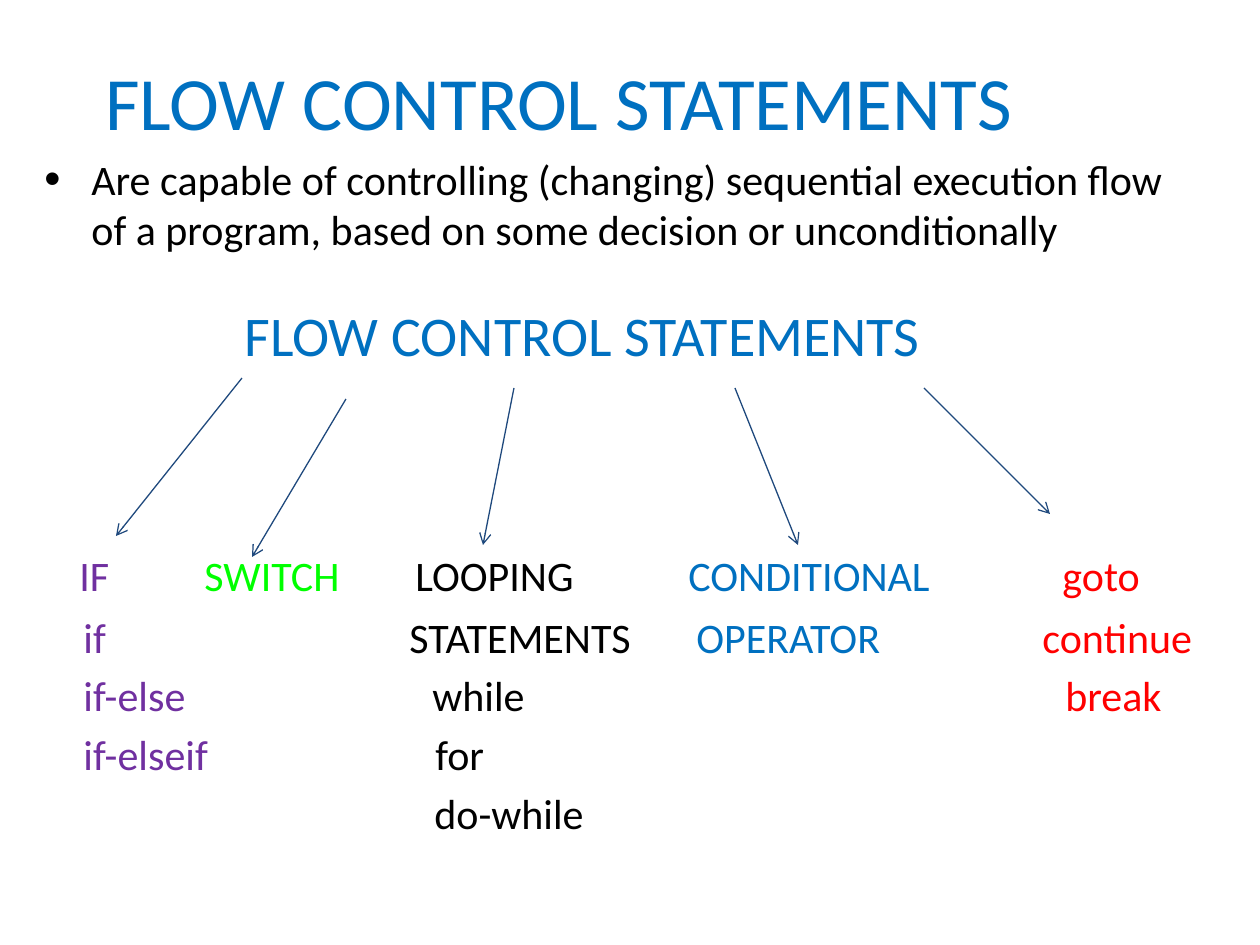
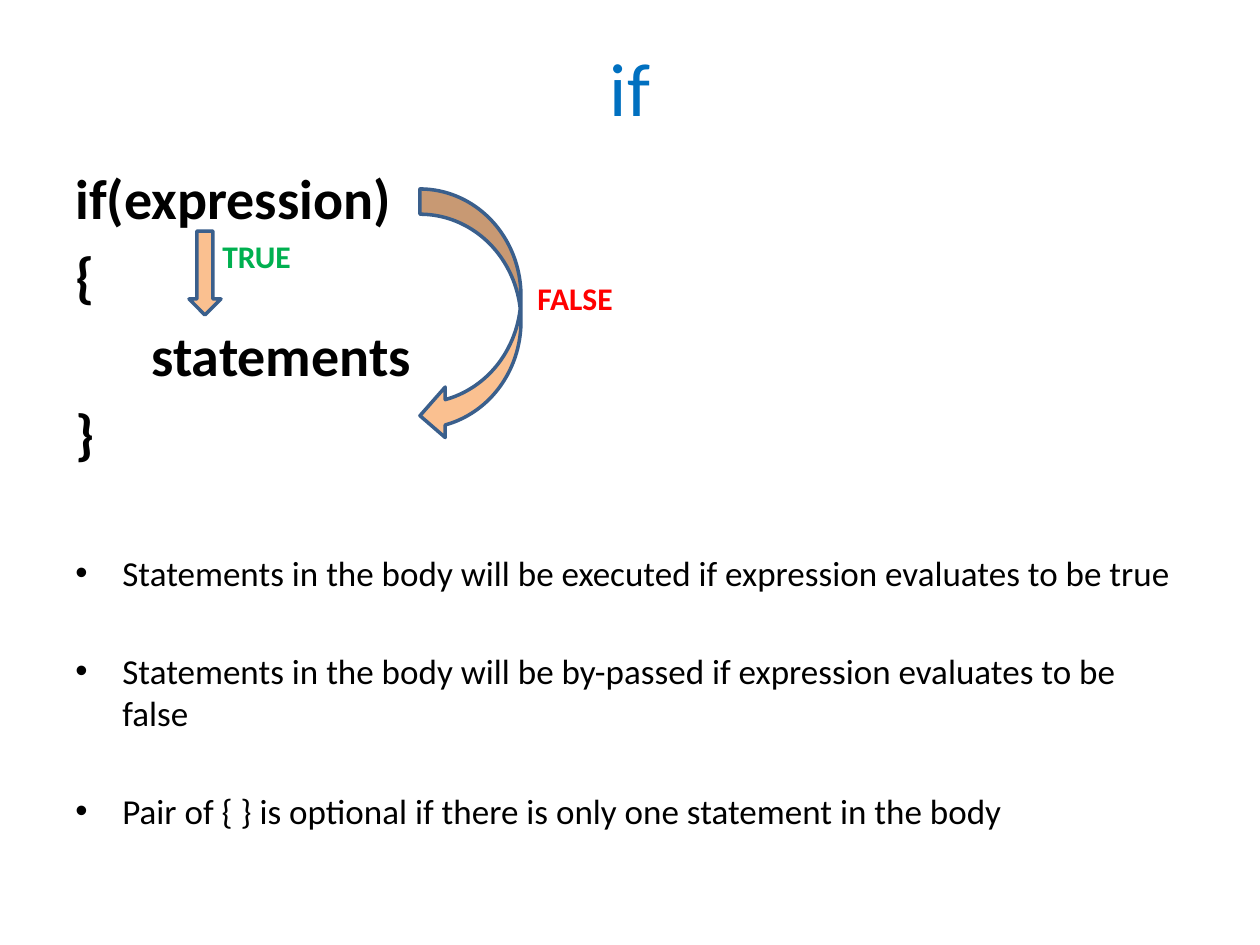
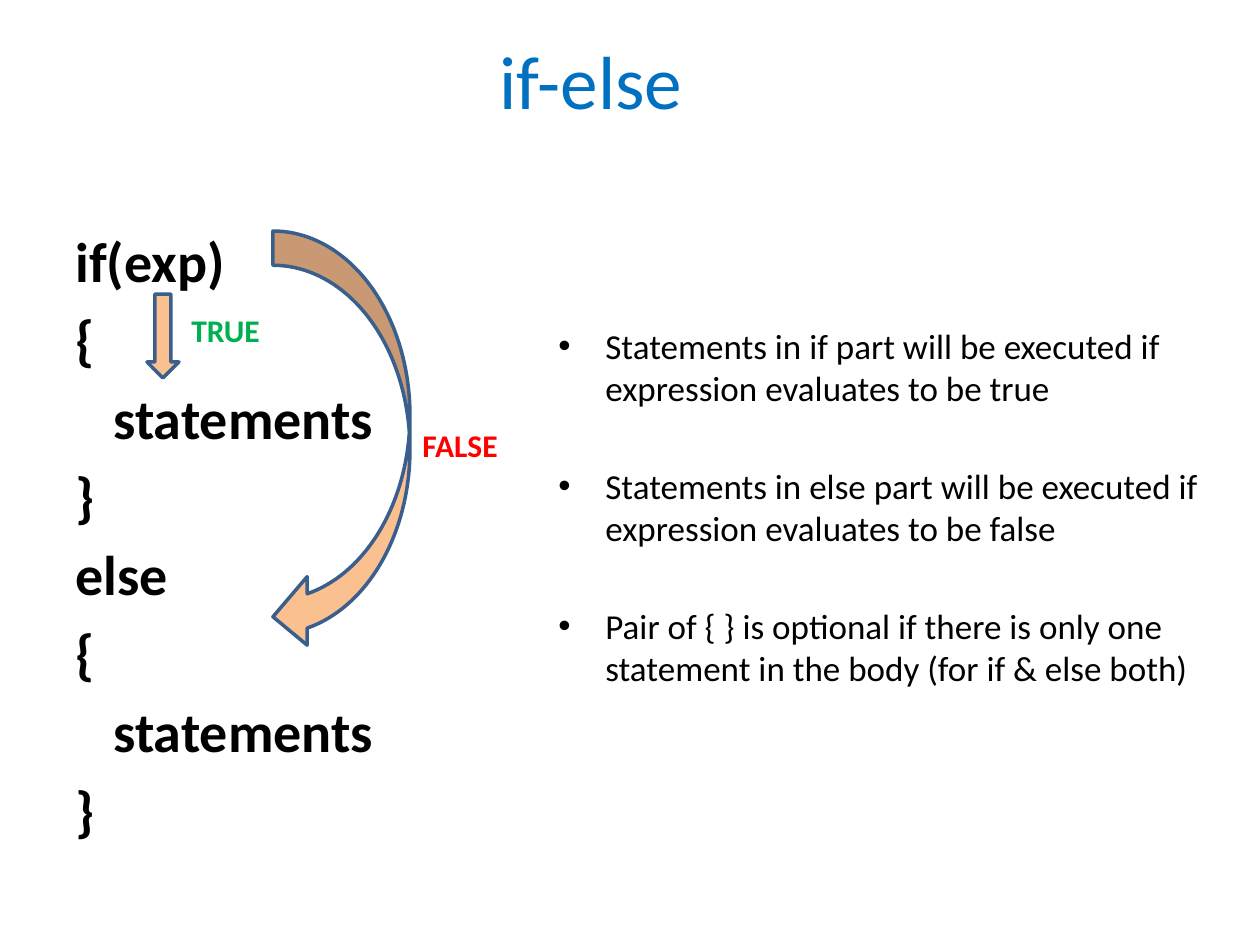
from pptx import Presentation
from pptx.dml.color import RGBColor
from pptx.enum.shapes import MSO_CONNECTOR, MSO_SHAPE
from pptx.enum.text import MSO_ANCHOR, PP_ALIGN
from pptx.oxml.ns import qn
from pptx.util import Emu, Pt
from lxml.etree import SubElement

FONT = "Calibri"
EMU_PER_PX = 914400 / 126
COLOURS = {
    "heading": "0070C0",
    "text": "000000",
    "if": "7030A0",
    "switch": "00FF00",
    "jump": "FF0000",
    "true": "00B050",
    "false": "FF0000",
    "arrow_fill": "FAC090",
    "arrow_edge": "3A5F8C",
    "connector": "1F497D",
}
TITLE_SIZE = 43
CODE_SIZE = 32
NOTE_SIZE = 20
LABEL_SIZE = 18
TREE_SIZE = 24
BULLET_INDENT = 47
CODE_GAP = 6.4
NOTE_GAP = 32

TREE_ROWS = [
    (104, [("IF", "if", 25), ("SWITCH", "switch", 150), ("LOOPING", "text", 361),
           ("CONDITIONAL", "heading", 634), ("goto", "jump", 1008)]),
    (6.4, [("if", "if", 29), ("STATEMENTS", "text", 355),
           ("OPERATOR", "heading", 642), ("continue", "jump", 988)]),
    (4.8, [("if-else", "if", 29), ("while", "text", 378), ("break", "jump", 1011)]),
    (4.8, [("if-elseif", "if", 29), ("for", "text", 381)]),
    (4.8, [("do-while", "text", 380)]),
]
BRANCHES = [
    ((924, 388), (1050, 514)),
    ((735, 388), (798, 545)),
    ((514, 388), (483, 545)),
    ((346, 399), (252, 557)),
    ((242, 378), (116, 536)),
]


def px(length):
    return Emu(round(length * EMU_PER_PX))


def colour(name):
    return RGBColor.from_string(COLOURS[name])


def format_span(span, size, colour_name, bold=False):
    span.font.name = FONT
    span.font.size = Pt(size)
    span.font.bold = bold
    span.font.color.rgb = colour(colour_name)


def add_box(page, left, top, width, height):
    box = page.shapes.add_textbox(px(left), px(top), px(width), px(height))
    box.text_frame.word_wrap = True
    return box


def next_para(box, gap):
    frame = box.text_frame
    if not frame.text:
        return frame.paragraphs[0]
    para = frame.add_paragraph()
    para.space_before = Pt(gap)
    return para


def add_line(box, text, size, colour_name="text", bold=False, gap=0):
    para = next_para(box, gap)
    para.text = text
    for span in para.runs:
        format_span(span, size, colour_name, bold)
    return para


def add_bullet(box, text, size, gap=0, bullet_percent=100):
    para = add_line(box, text, size, gap=gap)
    properties = para._p.get_or_add_pPr()
    properties.set("marL", str(px(BULLET_INDENT)))
    properties.set("indent", str(-px(BULLET_INDENT)))
    bullet_colour = SubElement(properties, qn("a:buClr"))
    SubElement(bullet_colour, qn("a:srgbClr"), val=COLOURS["text"])
    SubElement(properties, qn("a:buSzPct"), val=str(bullet_percent * 1000))
    SubElement(properties, qn("a:buFont"), typeface="Arial")
    SubElement(properties, qn("a:buChar"), char="•")


def add_tabbed_row(box, cells, size, gap=0):
    para = next_para(box, gap)
    stops = SubElement(para._p.get_or_add_pPr(), qn("a:tabLst"))
    for text, colour_name, stop in cells:
        SubElement(stops, qn("a:tab"), pos=str(px(stop)), algn="l")
        span = para.add_run()
        span.text = "\t" + text
        format_span(span, size, colour_name)


def add_title(page, text, left, top, width, height):
    box = add_box(page, left, top, width, height)
    box.text_frame.vertical_anchor = MSO_ANCHOR.MIDDLE
    add_line(box, text, TITLE_SIZE, "heading").alignment = PP_ALIGN.CENTER


def add_code(box, lines):
    for line in lines:
        add_line(box, line, CODE_SIZE, bold=True, gap=CODE_GAP)


def add_notes(box, notes, first_gap=0):
    for index, note in enumerate(notes):
        add_bullet(box, note, NOTE_SIZE, gap=NOTE_GAP if index else first_gap)


def add_label(page, text, colour_name, left, top):
    box = add_box(page, left, top, 120, 50)
    add_line(box, text, LABEL_SIZE, colour_name, bold=True)


def add_block_arrow(page, kind, left, top, width, height):
    arrow = page.shapes.add_shape(kind, px(left), px(top), px(width), px(height))
    arrow.shadow.inherit = False
    arrow.fill.solid()
    arrow.fill.fore_color.rgb = colour("arrow_fill")
    arrow.line.color.rgb = colour("arrow_edge")
    arrow.line.width = Pt(2)


def add_branch(page, start, end):
    branch = page.shapes.add_connector(
        MSO_CONNECTOR.STRAIGHT, *(px(value) for value in start + end))
    branch.line.color.rgb = colour("connector")
    branch.line.width = Pt(0.75)
    SubElement(branch.get_or_add_ln(), qn("a:tailEnd"), type="arrow")
    SubElement(branch._element.spPr, qn("a:effectLst"))


def build_overview(page):
    tree = add_box(page, 42, 294, 1166, 630)
    add_tabbed_row(tree, [("FLOW CONTROL STATEMENTS", "heading", 190)], CODE_SIZE)
    for gap, cells in TREE_ROWS:
        add_tabbed_row(tree, cells, TREE_SIZE, gap)
    for start, end in BRANCHES:
        add_branch(page, start, end)
    add_title(page, "FLOW CONTROL STATEMENTS", 0, 32, 1117, 136)
    definition = add_box(page, 32, 147, 1176, 115)
    add_bullet(definition, "Are capable of controlling (changing) sequential execution flow "
               "of a program, based on some decision or unconditionally",
               TREE_SIZE, bullet_percent=110)


def build_if(page):
    add_title(page, "if", 63, 21, 1134, 130)
    body = add_box(page, 63, 157, 1134, 756)
    add_code(body, ["if(expression)", "{", "      statements", "}"])
    add_notes(body, [
        "Statements in the body will be executed if expression evaluates to be true",
        "Statements in the body will be by-passed if expression evaluates to be false",
        "Pair of { } is optional if there is only one statement in the body",
    ], first_gap=49)
    add_block_arrow(page, MSO_SHAPE.DOWN_ARROW, 189, 231, 32, 84)
    add_block_arrow(page, MSO_SHAPE.CURVED_LEFT_ARROW, 420, 189, 101, 252)
    add_label(page, "TRUE", "true", 210, 231)
    add_label(page, "FALSE", "false", 525, 273)


def build_if_else(page):
    add_title(page, "if-else", 24, 21, 1134, 116)
    code = add_box(page, 63, 220, 1134, 624)
    block = ["{", "   statements", "}"]
    add_code(code, ["if(exp)", *block, "else", *block])
    add_block_arrow(page, MSO_SHAPE.DOWN_ARROW, 147, 294, 32, 84)
    add_label(page, "TRUE", "true", 179, 305)
    add_block_arrow(page, MSO_SHAPE.CURVED_LEFT_ARROW, 273, 231, 137, 420)
    add_label(page, "FALSE", "false", 410, 420)
    notes = add_box(page, 546, 318, 683, 425)
    add_notes(notes, [
        "Statements in if part will be executed if expression evaluates to be true",
        "Statements in else part will be executed if expression evaluates to be false",
        "Pair of { } is optional if there is only one statement in the body (for if & else both)",
    ])


def main():
    deck = Presentation()
    deck.slide_width = px(1260)
    deck.slide_height = px(945)
    for build in (build_overview, build_if, build_if_else):
        build(deck.slides.add_slide(deck.slide_layouts[6]))
    deck.save("out.pptx")


if __name__ == "__main__":
    main()
